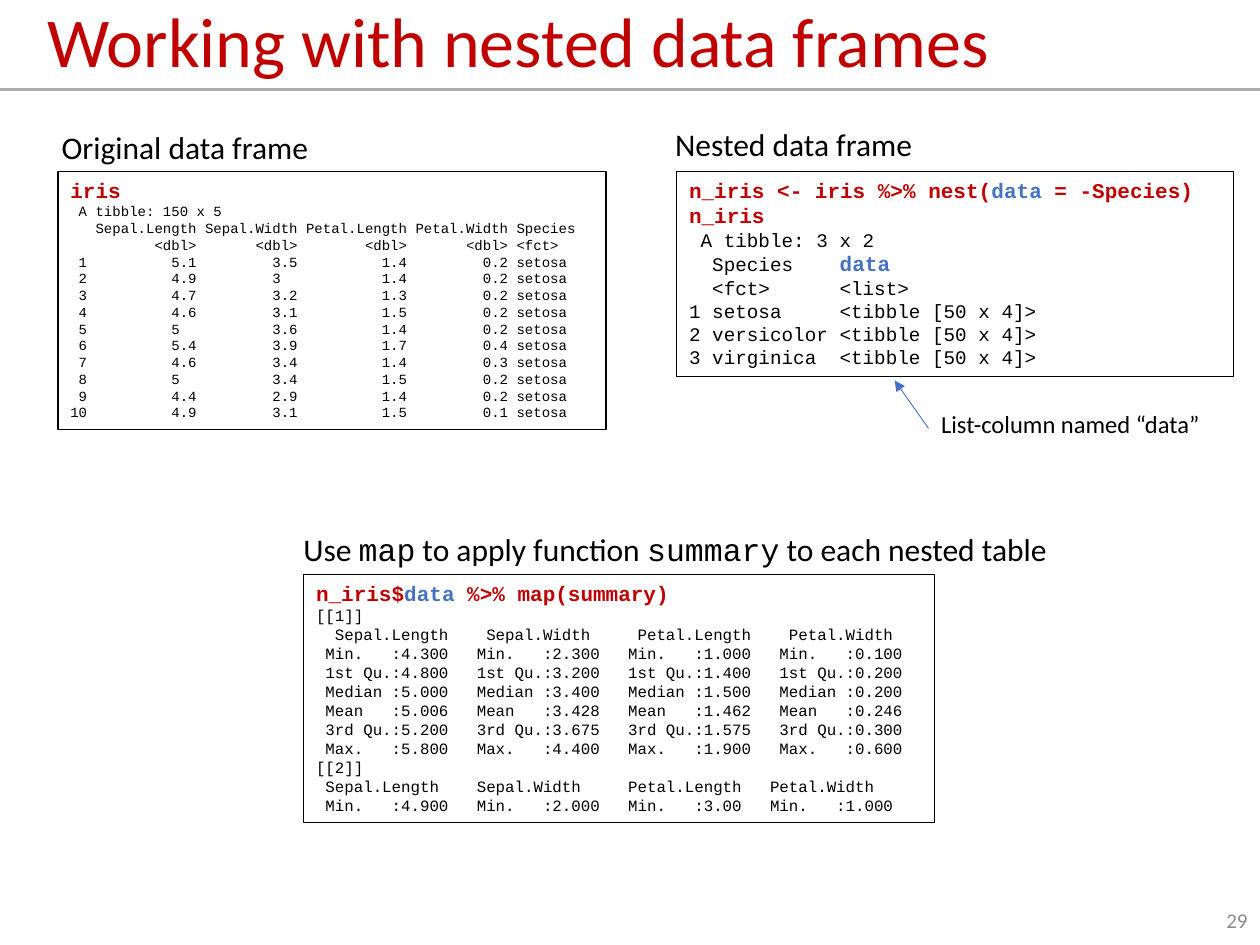
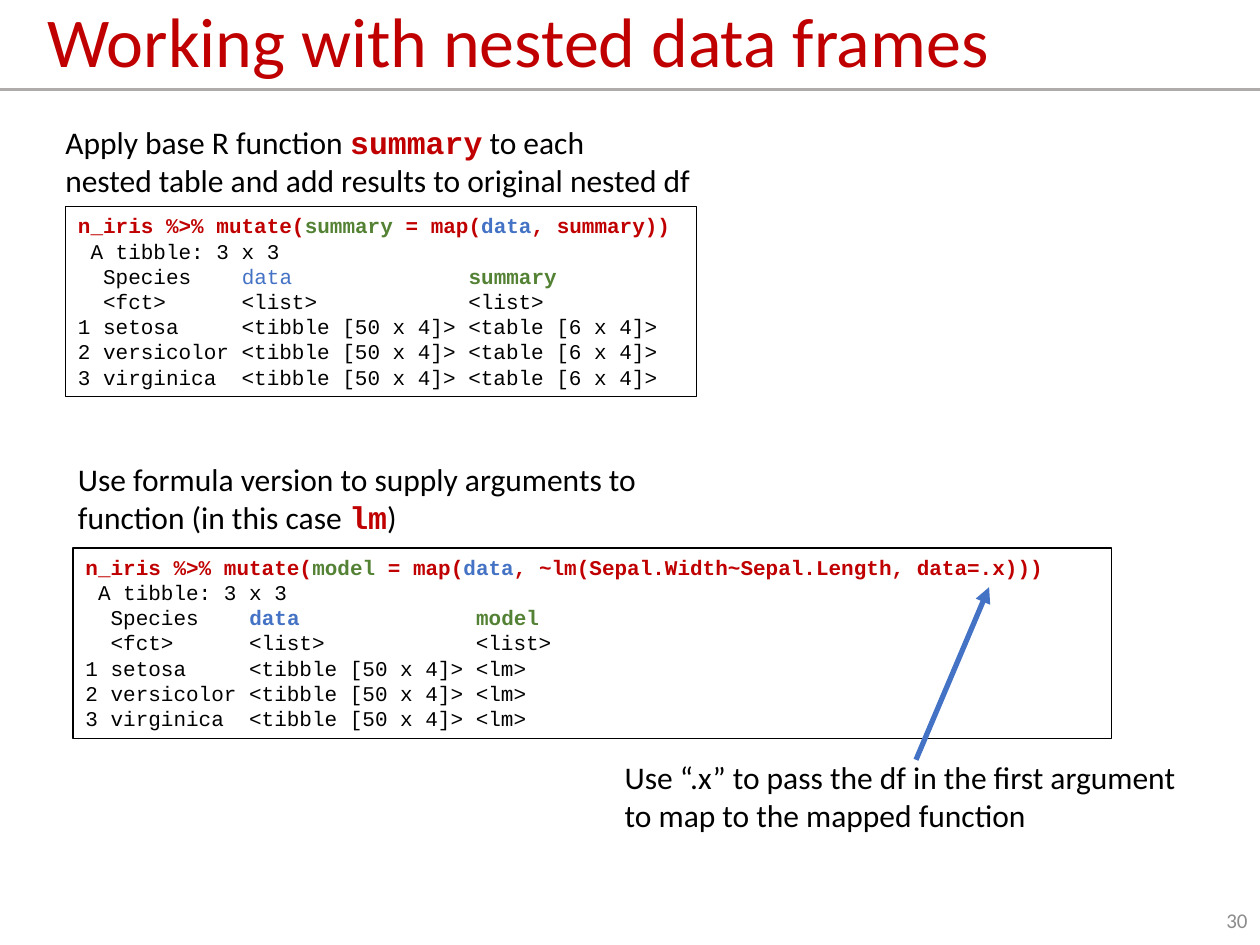
import pptx
import pptx.util
import pptx.dml.color
import pptx.enum.shapes
import pptx.enum.text
import pptx.oxml
import pptx.oxml.ns

ANCHOR = pptx.enum.text.MSO_ANCHOR
ALIGN = pptx.enum.text.PP_ALIGN

# Theme: each style is font, colour, bold and size (None takes the size of the box)
THEME = {
    "colors": {"red": "C00000", "blue": "4472C4", "green": "548235", "black": "000000",
               "rule": "AFABAB", "number": "8C8C8C", "paper": "FFFFFF"},
    "sizes": {"title": 40, "caption": 18, "note": 14, "number": 12, "code": 12},
    "styles": {
        "title": ("Calibri", "red", False, None),
        "text": ("Calibri", "black", False, None),
        "number": ("Calibri", "number", False, None),
        "function": ("Courier New", "black", False, None),
        "red function": ("Courier New", "red", True, None),
        "output": ("Courier New", "black", False, None),
        "plain data": ("Courier New", "blue", False, None),
        "code": ("Courier New", "red", True, 12),
        "data": ("Courier New", "blue", True, 12),
        "new": ("Courier New", "green", True, 12),
    },
}
SIZES = THEME["sizes"]

# The slide is a grid of 100 columns by 75 rows
COLUMNS, ROWS = 100, 75
CELL = pptx.util.Inches(0.1)
RULE_ROW = 7.1

# Content: data frames
IRIS_HEADS = [("", "Sepal.Length", "Sepal.Width", "Petal.Length", "Petal.Width", "Species"),
              ("", "<dbl>", "<dbl>", "<dbl>", "<dbl>", "<fct>")]
IRIS = [("5.1", "3.5", "1.4", "0.2"), ("4.9", "3", "1.4", "0.2"),
        ("4.7", "3.2", "1.3", "0.2"), ("4.6", "3.1", "1.5", "0.2"),
        ("5", "3.6", "1.4", "0.2"), ("5.4", "3.9", "1.7", "0.4"),
        ("4.6", "3.4", "1.4", "0.3"), ("5", "3.4", "1.5", "0.2"),
        ("4.4", "2.9", "1.4", "0.2"), ("4.9", "3.1", "1.5", "0.1")]
SPECIES = ["setosa", "versicolor", "virginica"]
SETOSA_SUMMARY = [("Min.", "4.300", "2.300", "1.000", "0.100"),
                  ("1st Qu.", "4.800", "3.200", "1.400", "0.200"),
                  ("Median", "5.000", "3.400", "1.500", "0.200"),
                  ("Mean", "5.006", "3.428", "1.462", "0.246"),
                  ("3rd Qu.", "5.200", "3.675", "1.575", "0.300"),
                  ("Max.", "5.800", "4.400", "1.900", "0.600")]
VERSICOLOR_MINIMUM = ("Min.", "4.900", "2.000", "3.00", "1.000")


# Console listings built from the data
def iris_line(index, a, b, c, d, species):
    return f"{index:>2}{a:>13}{b:>12}{c:>13}{d:>12} {species}"


def summary_line(label, *values):
    return "  ".join(f" {label:<7}:{value}" for value in values)


def tibble(data_style, column="", column_type="", cell=""):
    """Lines of a nested tibble, with an optional third column."""
    width = 18 if column else 0
    head = [("  Species    ", "output"), (f"{'data':<{width}}", data_style)]
    if column:
        head.append((column, "new"))
    lines = [f" A tibble: 3 x {3 if column else 2}", head,
             f"  <fct>      {'<list>':<{width}}{column_type}"]
    for index, species in enumerate(SPECIES, 1):
        lines.append(f"{index} {species:<10} <tibble [50 x 4]> {cell}".rstrip())
    return lines


def mutate_code(column, ending):
    return [("n_iris %>% mutate(", "code"), (column, "new"), (" = map(", "code"),
            ("data", "data"), (ending, "code")]


IRIS_LISTING = [[("iris", "code")], " A tibble: 150 x 5"]
IRIS_LISTING += [iris_line(*head) for head in IRIS_HEADS]
IRIS_LISTING += [iris_line(index, *(f"{value:<3}" for value in values), "setosa")
                 for index, values in enumerate(IRIS, 1)]

NEST_LISTING = [[("n_iris <- iris %>% nest(", "code"), ("data", "data"),
                 (" = -Species)", "code")],
                [("n_iris", "code")]] + tibble("data")

MAP_LISTING = [[("n_iris$", "code"), ("data", "data"), (" %>% map(summary)", "code")],
               "[[1]]",
               "  Sepal.Length    Sepal.Width     Petal.Length    Petal.Width"]
MAP_LISTING += [summary_line(*row) for row in SETOSA_SUMMARY]
MAP_LISTING += ["[[2]]",
                " Sepal.Length    Sepal.Width     Petal.Length   Petal.Width",
                summary_line(*VERSICOLOR_MINIMUM)]

SUMMARY_LISTING = [mutate_code("summary", ", summary))")]
SUMMARY_LISTING += tibble("plain data", "summary", "<list>", "<table [6 x 4]>")

MODEL_LISTING = [mutate_code("model", ", ~lm(Sepal.Width~Sepal.Length, data=.x)))")]
MODEL_LISTING += tibble("data", "model", "<list>", "<lm>")

# Slides: places are (column, row, columns wide, rows high)
TITLE = "Working with nested data frames"
SLIDES = [
    {
        "number": "29",
        "listings": [((4.6, 13.6, 43.5, 20.5), 8, IRIS_LISTING),
                     ((53.7, 13.6, 44.2, 16.3), 11, NEST_LISTING),
                     ((24.1, 45.6, 50.1, 19.7), 9, MAP_LISTING)],
        "captions": [
            ((3.9, 9.7, 21.8, 4), "caption", False, ["Original data frame"]),
            ((52.6, 9.4, 21.1, 4), "caption", False, ["Nested data frame"]),
            ((23.1, 41.6, 67, 4), "caption", True,
             [[("Use ", "text"), ("map", "function"), (" to apply function ", "text"),
               ("summary", "function"), (" to each nested table", "text")]]),
            ((73.7, 32, 22.8, 3.4), "note", False, ["List-column named “data”"]),
        ],
        "arrow": ((73.7, 34), (71, 30.2), 0.5),
    },
    {
        "number": "30",
        "listings": [((5.2, 16.4, 50.1, 15.1), 12, SUMMARY_LISTING),
                     ((5.8, 43.5, 82.4, 15.1), 12, MODEL_LISTING)],
        "captions": [
            ((4.2, 9.3, 52.5, 7.1), "caption", True,
             [[("Apply base R function ", "text"), ("summary", "red function"),
               (" to each", "text")],
              "nested table and add results to original nested df"]),
            ((5.2, 36, 52.5, 7.1), "caption", True,
             [[("Use formula version to supply arguments to function (in this case ", "text"),
               ("lm", "red function"), (")", "text")]]),
            ((48.6, 59.7, 46.6, 7.1), "caption", True,
             ["Use “.x” to pass the df in the first argument to map to the mapped function"]),
        ],
        "arrow": ((72.7, 60.3), (78.5, 46.6), 3),
    },
]


# Drawing helpers
def grid(*lengths):
    return [round(length * CELL) for length in lengths]


def color(name):
    return pptx.dml.color.RGBColor.from_string(THEME["colors"][name])


def write(shape, lines, style, size, wrap=True, anchor=ANCHOR.TOP,
          align=ALIGN.LEFT, spacing=None):
    """Fill a shape; a plain string is a line in the given style."""
    frame = shape.text_frame
    frame.word_wrap = wrap
    frame.vertical_anchor = anchor
    for index, line in enumerate(lines):
        paragraph = frame.add_paragraph() if index else frame.paragraphs[0]
        paragraph.alignment = align
        if spacing:
            paragraph.line_spacing = spacing
        for text, run_style in [(line, style)] if isinstance(line, str) else line:
            font_name, color_name, bold, own_size = THEME["styles"][run_style]
            run = paragraph.add_run()
            run.text = text
            run.font.name = font_name
            run.font.size = pptx.util.Pt(own_size or size)
            run.font.bold = bold
            run.font.color.rgb = color(color_name)


def add_text(slide, place, lines, style, size, **layout):
    write(slide.shapes.add_textbox(*grid(*place)), lines, style, size, **layout)


def add_listing(slide, place, size, lines):
    box = slide.shapes.add_shape(pptx.enum.shapes.MSO_SHAPE.RECTANGLE, *grid(*place))
    box.shadow.inherit = False
    box.fill.background()
    box.line.color.rgb = color("black")
    box.line.width = pptx.util.Pt(0.75)
    write(box, lines, "output", size)


def add_line(slide, start, end, color_name, width, arrow=False):
    line = slide.shapes.add_connector(pptx.enum.shapes.MSO_CONNECTOR.STRAIGHT,
                                      *grid(*start, *end))
    line.line.color.rgb = color(color_name)
    line.line.width = pptx.util.Pt(width)
    properties = line._element.spPr
    if arrow:
        head = pptx.oxml.parse_xml(f'<a:tailEnd {pptx.oxml.ns.nsdecls("a")} type="triangle"/>')
        line.line._get_or_add_ln().append(head)
    properties.append(pptx.oxml.parse_xml(f'<a:effectLst {pptx.oxml.ns.nsdecls("a")}/>'))


def add_frame(slide, number):
    """Background, rule, title and page number shared by all slides."""
    slide.background.fill.solid()
    slide.background.fill.fore_color.rgb = color("paper")
    add_line(slide, (0, RULE_ROW), (COLUMNS, RULE_ROW), "rule", 2)
    add_text(slide, (2.8, 0, COLUMNS - 2.8, RULE_ROW), [TITLE], "title", SIZES["title"],
             anchor=ANCHOR.MIDDLE, spacing=0.9)
    add_text(slide, (77.5, ROWS - 4, 22.5, 4), [number], "number", SIZES["number"],
             anchor=ANCHOR.MIDDLE, align=ALIGN.RIGHT)


def main():
    presentation = pptx.Presentation()
    presentation.slide_width, presentation.slide_height = grid(COLUMNS, ROWS)
    for content in SLIDES:
        slide = presentation.slides.add_slide(presentation.slide_layouts[6])
        add_frame(slide, content["number"])
        for place, size, lines in content["listings"]:
            add_listing(slide, place, size, lines)
        for place, size, wrap, lines in content["captions"]:
            add_text(slide, place, lines, "text", SIZES[size], wrap=wrap)
        start, end, width = content["arrow"]
        add_line(slide, start, end, "blue", width, arrow=True)
    presentation.save("out.pptx")


if __name__ == "__main__":
    main()
